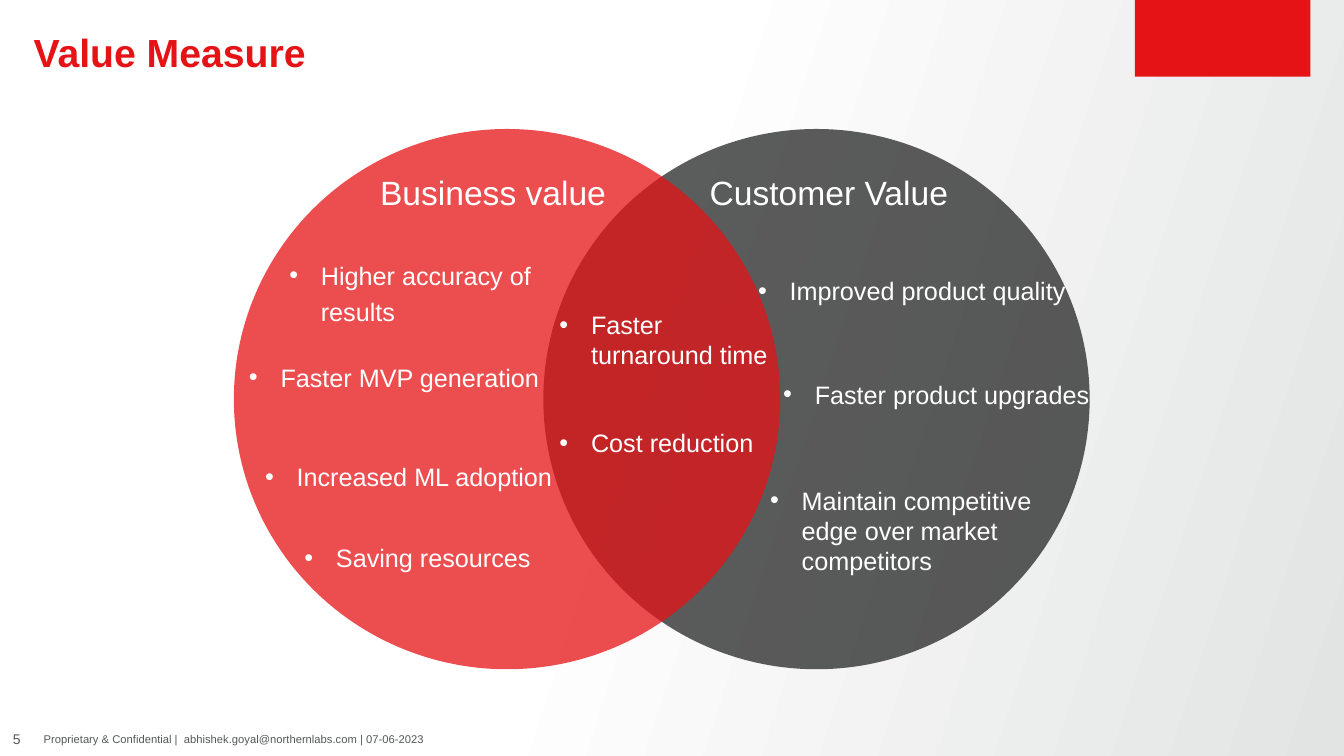
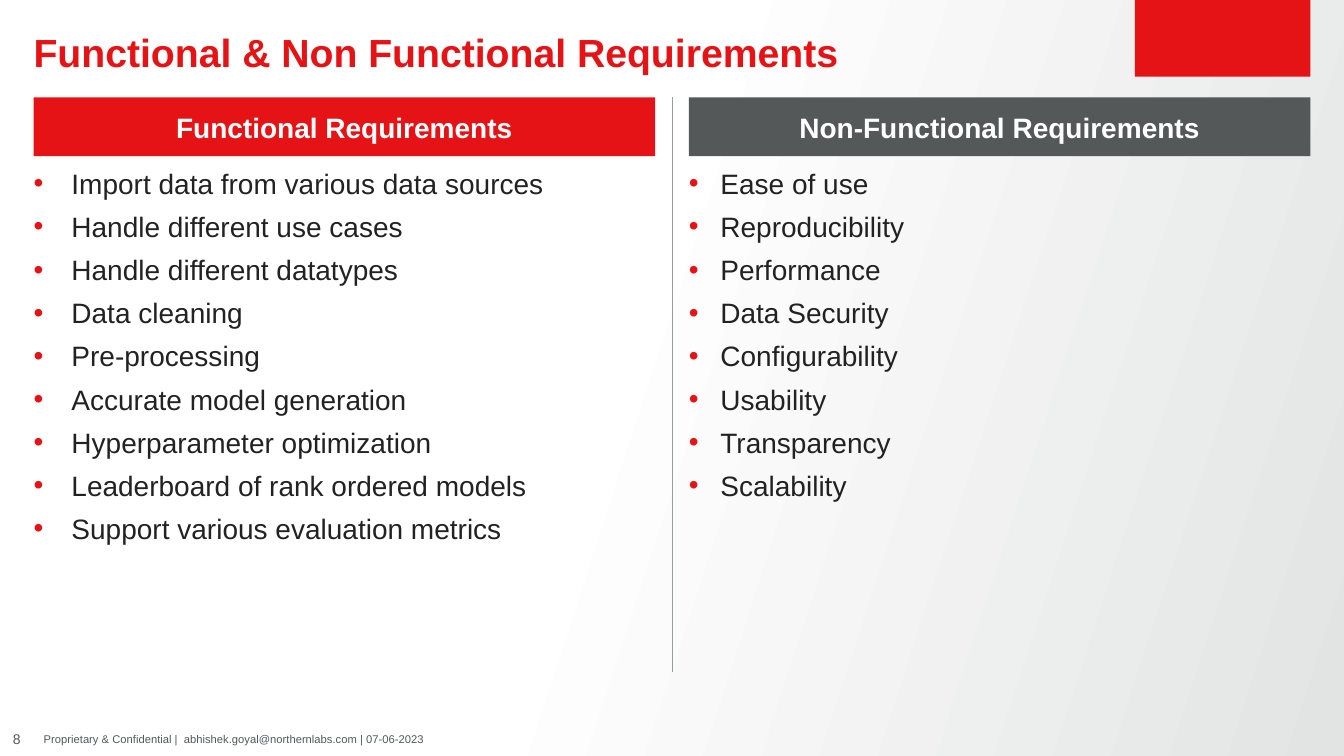
from copy import deepcopy

from lxml import etree
from pptx import Presentation
from pptx.dml.color import RGBColor
from pptx.enum.shapes import MSO_CONNECTOR, MSO_SHAPE
from pptx.enum.text import MSO_ANCHOR, MSO_AUTO_SIZE, PP_ALIGN
from pptx.oxml.ns import qn
from pptx.util import Inches, Pt

RED = RGBColor(0xE6, 0x13, 0x16)
GREY = RGBColor(0x54, 0x58, 0x59)
BLACK = RGBColor(0x16, 0x17, 0x17)
INK = RGBColor(0x22, 0x22, 0x22)
RULE = RGBColor(0x97, 0x9C, 0x9D)
WHITE = RGBColor(0xFF, 0xFF, 0xFF)
SHADE = RGBColor(0xE2, 0xE3, 0xE3)

FONT = "Arial"
FOOTER = "Proprietary & Confidential |  abhishek.goyal@northernlabs.com | 07-06-2023"

LEFT, CENTER = PP_ALIGN.LEFT, PP_ALIGN.CENTER
TOP, MIDDLE = MSO_ANCHOR.TOP, MSO_ANCHOR.MIDDLE
NO_FIT = MSO_AUTO_SIZE.NONE
RECT, OVAL = MSO_SHAPE.RECTANGLE, MSO_SHAPE.OVAL
STRAIGHT = MSO_CONNECTOR.STRAIGHT

COLS, ROWS = 80, 45
MARGIN, COLUMN = 2, 37
HEADER_TOP, HEADER_H = 5.8, 3.5
INDENT = 1.88

CIRCLE_TOP, CIRCLE_W, CIRCLE_H = 7.68, 32.52, 32.16
CIRCLES = [(32.34, BLACK, 70), (13.92, RED, 75)]
CIRCLE_TITLES = [(22.62, "Business value"), (42.24, "Customer Value")]
VALUES = [
    (17.22, 15.12, 18.24, 1.2, ["Higher accuracy of results"]),
    (14.82, 21.18, 18, 1.2, ["Faster MVP generation"]),
    (15.78, 27.12, 18, 1.2, ["Increased ML adoption"]),
    (18.12, 32.28, 18, 1, ["Saving resources"]),
    (33.3, 18.42, 13.26, 1, ["Faster turnaround time", "Cost reduction"]),
    (45.12, 16.38, 19.5, 1, ["Improved product quality"]),
    (46.62, 22.56, 19.5, 1, ["Faster product upgrades"]),
    (45.84, 28.86, 16, 1, ["Maintain competitive edge over market competitors"]),
]
REQUIREMENTS = [
    ("Functional Requirements", RED, 2.25, [
        "Import data from various data sources",
        "Handle different use cases",
        "Handle different datatypes",
        "Data cleaning",
        "Pre-processing",
        "Accurate model generation",
        "Hyperparameter optimization",
        "Leaderboard of rank ordered models",
        "Support various evaluation metrics",
    ]),
    ("Non-Functional Requirements", GREY, INDENT, [
        "Ease of use",
        "Reproducibility",
        "Performance",
        "Data Security",
        "Configurability",
        "Usability",
        "Transparency",
        "Scalability",
    ]),
]


def grid(n):
    return Inches(n / 6)


def place(s, x, y, w, h):
    s.left, s.top, s.width, s.height = map(grid, (x, y, w, h))


def add_bullet(p, color, indent):
    pPr = p._p.get_or_add_pPr()
    pPr.set("marL", str(grid(indent)))
    pPr.set("indent", str(-grid(indent)))
    clr = etree.SubElement(pPr, qn("a:buClr"))
    etree.SubElement(clr, qn("a:srgbClr"), val=str(color))
    etree.SubElement(pPr, qn("a:buFont"), typeface=FONT)
    etree.SubElement(pPr, qn("a:buChar"), char="•")


def write(s, lines, size, color, bold=False, align=LEFT, anchor=TOP,
          spacing=1, gap=0, bullet=None, indent=INDENT):
    tf = s.text_frame
    tf.word_wrap = True
    tf.auto_size = NO_FIT
    tf.vertical_anchor = anchor
    tf.margin_left = tf.margin_right = tf.margin_top = tf.margin_bottom = 0
    for i, line in enumerate(lines):
        p = tf.add_paragraph() if i else tf.paragraphs[0]
        if bullet is not None:
            add_bullet(p, bullet, indent)
        p.alignment = align
        p.line_spacing = spacing
        p.space_before = Pt(gap if i else 0)
        r = p.add_run()
        r.text = line
        r.font.name = FONT
        r.font.size = Pt(size)
        r.font.bold = bold
        r.font.color.rgb = color


def add_text(slide, x, y, w, h, lines, size, color, **style):
    s = slide.shapes.add_textbox(grid(x), grid(y), grid(w), grid(h))
    write(s, lines, size, color, **style)


def add_block(slide, kind, x, y, w, h, color, opacity=100):
    s = slide.shapes.add_shape(kind, grid(x), grid(y), grid(w), grid(h))
    s.shadow.inherit = False
    s.fill.solid()
    s.fill.fore_color.rgb = color
    s.line.fill.background()
    if opacity < 100:
        clr = s._element.spPr.find(qn("a:solidFill")).find(qn("a:srgbClr"))
        etree.SubElement(clr, qn("a:alpha"), val=str(opacity * 1000))
    return s


def add_divider(slide, x, top, bottom):
    s = slide.shapes.add_connector(STRAIGHT, grid(x), grid(top), grid(x), grid(bottom))
    s.line.color.rgb = RULE
    s.line.width = Pt(0.5)
    etree.SubElement(s._element.spPr, qn("a:effectLst"))


def set_background(master):
    fill = master.background.fill
    fill.gradient()
    fill.gradient_angle = 342
    stops = fill.gradient_stops
    for stop, position, color in zip(stops, (0.45, 1), (WHITE, SHADE)):
        stop.position = position
        stop.color.rgb = color
    gs = master._element.find(".//" + qn("a:gs"))
    start = deepcopy(gs)
    start.set("pos", "0")
    gs.addprevious(start)


def add_slide(prs, layout, title, number):
    slide = prs.slides.add_slide(prs.slide_layouts.get_by_name(layout))
    add_block(slide, RECT, 67.56, 0, 10.44, 4.56, RED)
    place(slide.shapes.title, MARGIN, 2, 64, 2.5)
    write(slide.shapes.title, [title], 28, RED, bold=True, spacing=0.9)
    add_text(slide, 0, 43, 2, 2, [number], 10, GREY, align=CENTER, anchor=MIDDLE)
    add_text(slide, 2.6, 43, 37, 2, [FOOTER], 8, GREY, anchor=MIDDLE)
    return slide


def build_value_measure(prs):
    slide = add_slide(prs, "Title Only", "Value Measure", "5")
    for x, color, opacity in CIRCLES:
        add_block(slide, OVAL, x, CIRCLE_TOP, CIRCLE_W, CIRCLE_H, color, opacity)
    for x, name in CIRCLE_TITLES:
        add_text(slide, x, 9.78, 16, 3, [name], 24, WHITE, spacing=1.2)
    for x, y, w, spacing, lines in VALUES:
        add_text(slide, x, y, w, 4, lines, 18, WHITE,
                 spacing=spacing, gap=41, bullet=WHITE)


def build_requirements(prs):
    slide = add_slide(prs, "Two Content", "Functional & Non Functional Requirements", "8")
    for i, (heading, color, indent, items) in enumerate(REQUIREMENTS):
        x = MARGIN + i * (COLUMN + MARGIN)
        body = slide.placeholders[i + 1]
        place(body, x, 9.5, COLUMN, 30.25)
        write(body, items, 20, INK, spacing=1.2, gap=2, bullet=RED, indent=indent)
        header = add_block(slide, RECT, x, HEADER_TOP, COLUMN, HEADER_H, color)
        write(header, [heading], 20, WHITE, bold=True, align=CENTER, anchor=MIDDLE)
    add_divider(slide, COLS / 2, HEADER_TOP, 40)


def main():
    prs = Presentation()
    prs.slide_width, prs.slide_height = grid(COLS), grid(ROWS)
    set_background(prs.slide_master)
    build_value_measure(prs)
    build_requirements(prs)
    prs.save("out.pptx")


if __name__ == "__main__":
    main()
